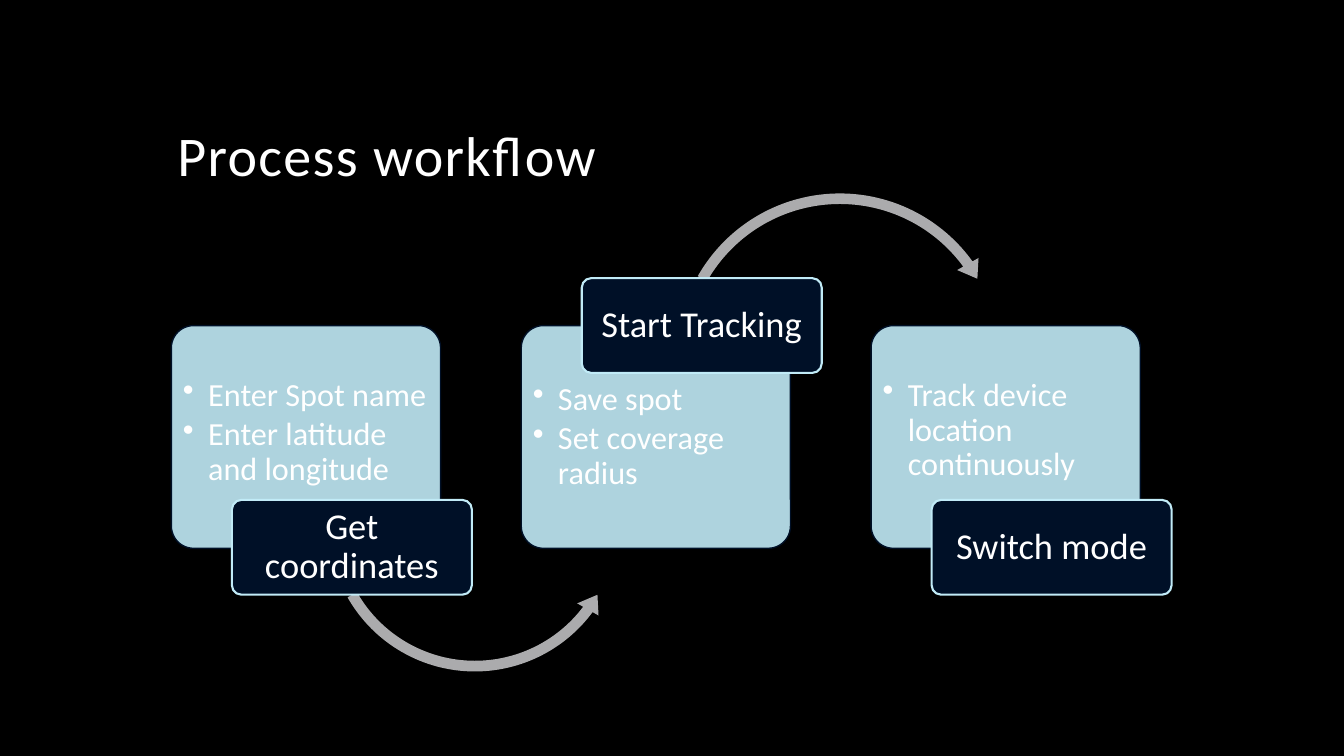
from lxml import etree
from pptx import Presentation
from pptx.dml.color import RGBColor
from pptx.enum.shapes import MSO_SHAPE as Shape
from pptx.enum.text import MSO_ANCHOR as Anchor, PP_ALIGN as Align
from pptx.oxml.ns import qn
from pptx.util import Inches, Pt

TITLE = "Process workflow"
STEPS = [
    ("Get coordinates", ["Enter Spot name", "Enter latitude and longitude"], "below"),
    ("Start Tracking", ["Save spot", "Set coverage radius"], "above"),
    ("Switch mode", ["Track device location continuously"], "below"),
]
ARROWS = [
    (Shape.LEFT_CIRCULAR_ARROW, (3.19, 3.69), 3.04, (0.035, 7.13, 36.72, 150.41, 0.04)),
    (Shape.CIRCULAR_ARROW, (6.64, 1.85), 3.38, (0.031, 6.36, 324.05, 209.59, 0.036)),
]

BLACK = RGBColor(0x00, 0x00, 0x00)
WHITE = RGBColor(0xFF, 0xFF, 0xFF)
NAVY = RGBColor(0x00, 0x10, 0x27)
ICE = RGBColor(0xC1, 0xEB, 0xF7)
GREY = RGBColor(0xAB, 0xAB, 0xAD)

FONT = "Calibri"
CARD_LEFT, CARD_TOP, PITCH = 1.7, 3.23, 3.47
CARD_SIZE = (2.67, 2.21)
LABEL_SIZE = (2.38, 0.94)
LABEL_SHIFT = 0.6
LABEL_DROP = {"below": 1.73, "above": -0.47}
TEXT_INSET = {"below": 0.46, "above": 0.5}
DEGREE = 0.6


def add_block(slide, kind, place, size, fill, line=None, weight=0):
    block = slide.shapes.add_shape(kind, *map(Inches, (*place, *size)))
    block.shadow.inherit = False
    block.fill.solid()
    block.fill.fore_color.rgb = fill
    if line is None:
        block.line.fill.background()
    else:
        block.line.color.rgb = line
        block.line.width = Pt(weight)
    return block


def add_panel(slide, place, size, fill, line, weight, insets, anchor):
    panel = add_block(slide, Shape.ROUNDED_RECTANGLE, place, size, fill, line, weight)
    panel.adjustments[0] = 0.1
    frame = panel.text_frame
    frame.word_wrap = True
    frame.vertical_anchor = anchor
    frame.margin_left, frame.margin_top, frame.margin_right, frame.margin_bottom = map(
        Inches, insets)
    return panel


def style(paragraph, size, align):
    paragraph.alignment = align
    paragraph.line_spacing = 0.9
    paragraph.font.name = FONT
    paragraph.font.size = Pt(size)
    paragraph.font.color.rgb = WHITE


def add_card(slide, place, tasks, side):
    card = add_panel(slide, place, CARD_SIZE, ICE, NAVY, 1,
                     (0.05, TEXT_INSET[side], 0.05, 0.05), Anchor.TOP)
    color = card.fill._xPr.find(qn("a:solidFill"))[0]
    etree.SubElement(color, qn("a:alpha"), val="90000")
    frame = card.text_frame
    for number, task in enumerate(tasks):
        paragraph = frame.add_paragraph() if number else frame.paragraphs[0]
        paragraph.text = task
        props = paragraph._p.get_or_add_pPr()
        props.set("marL", str(Inches(0.25)))
        props.set("indent", str(-Inches(0.25)))
        etree.SubElement(props, qn("a:buChar"), char="•")
        paragraph.space_after = Pt(3.5)
        style(paragraph, 23, Align.LEFT)


def add_arrow(slide, kind, place, side, shape_values):
    arrow = add_block(slide, kind, place, (side, side), GREY)
    thickness, head, end, start, head_width = shape_values
    values = (thickness, head * DEGREE, end * DEGREE, start * DEGREE, head_width)
    for index, value in enumerate(values):
        arrow.adjustments[index] = value


def add_label(slide, place, name):
    label = add_panel(slide, place, LABEL_SIZE, NAVY, ICE, 1.5,
                      (0.05, 0.04, 0.05, 0.04), Anchor.MIDDLE)
    label.text_frame.text = name
    style(label.text_frame.paragraphs[0], 26, Align.CENTER)


def add_title(slide):
    title = slide.shapes.title
    title.left, title.top, title.width, title.height = map(Inches, (1.66, 0.42, 10, 1.5))
    title.text_frame.text = TITLE
    title.text_frame.vertical_anchor = Anchor.BOTTOM
    heading = title.text_frame.paragraphs[0]
    style(heading, 40, Align.LEFT)
    heading.runs[0]._r.get_or_add_rPr().set("spc", "100")


def main():
    deck = Presentation()
    deck.slide_width, deck.slide_height = Inches(13.33), Inches(7.5)
    slide = deck.slides.add_slide(deck.slide_layouts[5])
    slide.background.fill.solid()
    slide.background.fill.fore_color.rgb = BLACK
    add_title(slide)
    for column, (name, tasks, side) in enumerate(STEPS):
        left = CARD_LEFT + column * PITCH
        add_card(slide, (left, CARD_TOP), tasks, side)
        if column < len(ARROWS):
            add_arrow(slide, *ARROWS[column])
        add_label(slide, (left + LABEL_SHIFT, CARD_TOP + LABEL_DROP[side]), name)
    deck.save("out.pptx")


if __name__ == "__main__":
    main()
